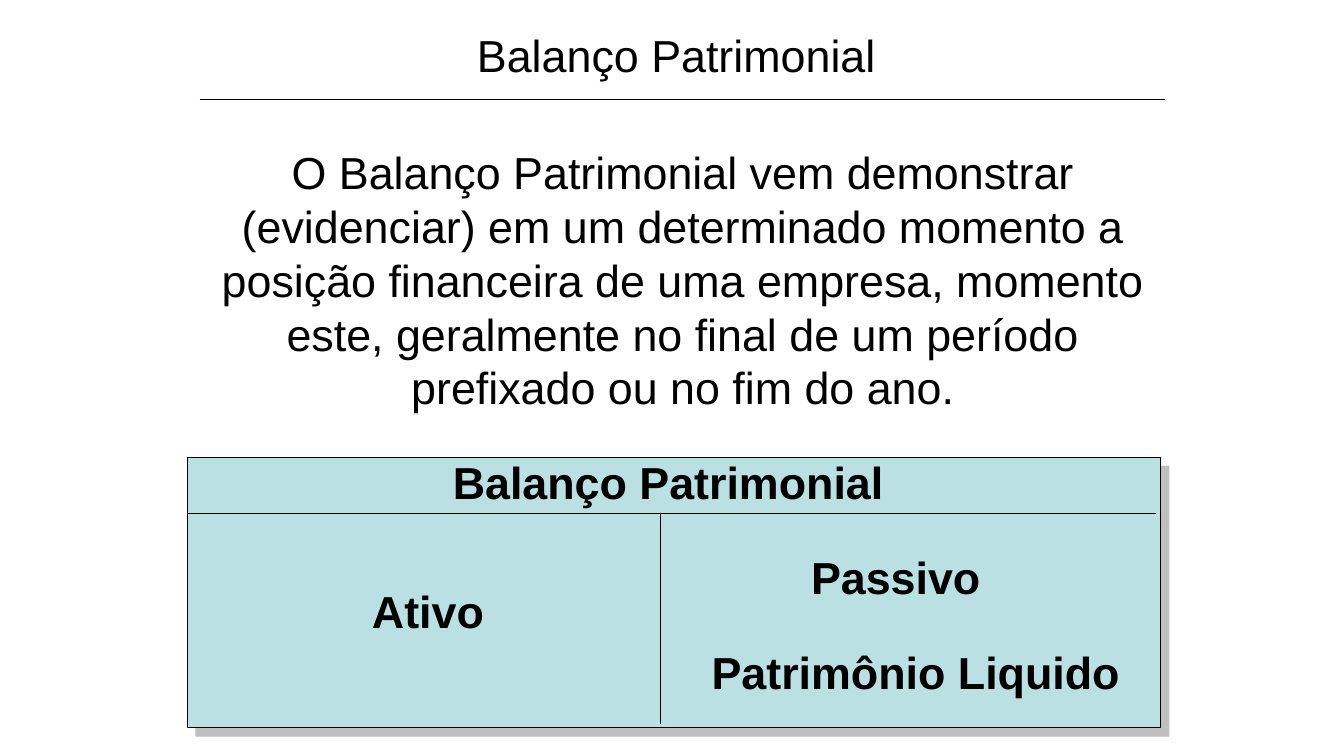
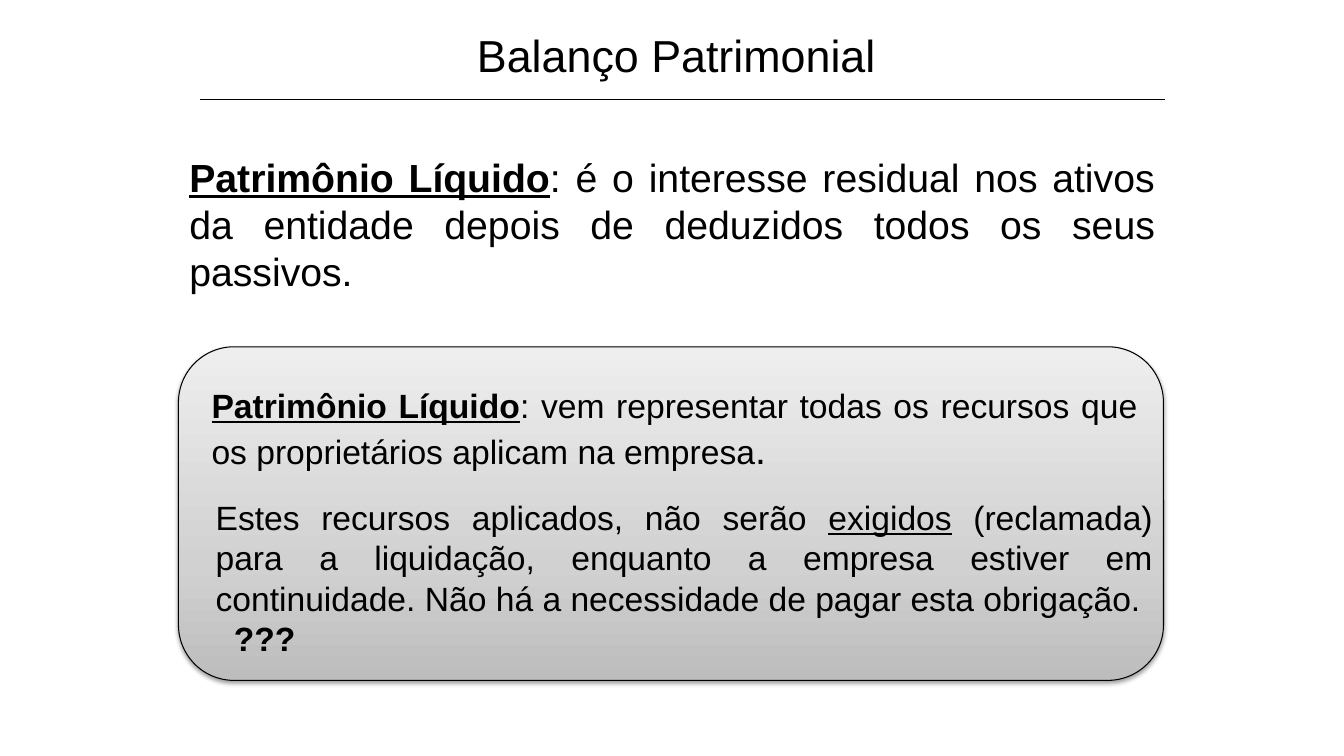
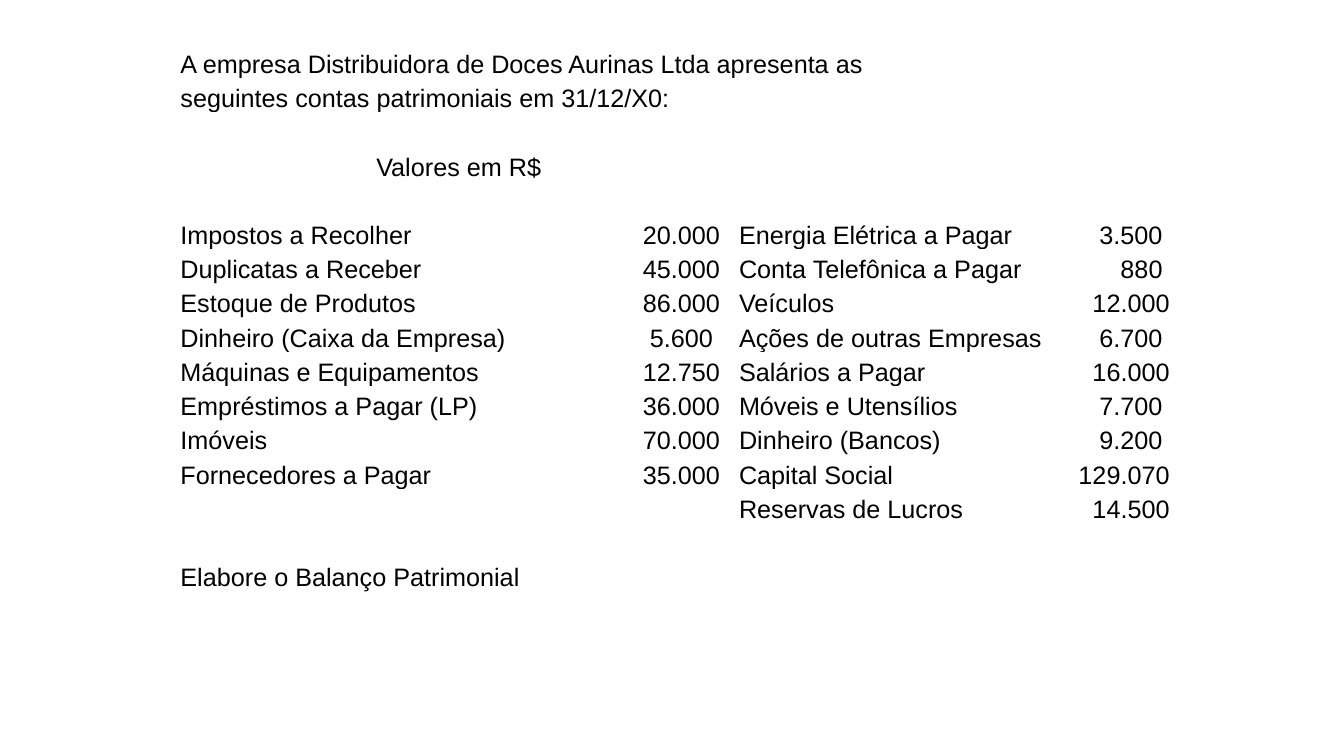
from lxml.etree import SubElement
from pptx import Presentation
from pptx.dml.color import RGBColor
from pptx.enum.shapes import MSO_CONNECTOR, MSO_SHAPE
from pptx.enum.text import MSO_ANCHOR, PP_ALIGN
from pptx.oxml.ns import qn
from pptx.util import Inches, Pt

FONT = "Arial"
BLACK = "000000"
PANEL_BLUE = "BBE0E3"
GRADIENT_STOPS = [(0, "BDBDBD"), (35, "D1D1D1"), (100, "EEEEEE")]

COLUMN_WIDTHS = [4.31, 1.23, 3.23, 1.23]
ROW_HEIGHT = 0.34
ROW_COUNT = 16
FIRST_ACCOUNT_ROW = 5
HEADINGS = [
    (0, 2, "A empresa Distribuidora de Doces Aurinas Ltda apresenta as", PP_ALIGN.LEFT),
    (1, 1, "seguintes contas patrimoniais em 31/12/X0:", PP_ALIGN.LEFT),
    (3, 1, "Valores em R$", PP_ALIGN.CENTER),
    (15, 1, "Elabore o Balanço Patrimonial", PP_ALIGN.LEFT),
]
LEFT_ACCOUNTS = [
    ("Impostos a Recolher", "20.000"),
    ("Duplicatas a Receber", "45.000"),
    ("Estoque de Produtos", "86.000"),
    ("Dinheiro (Caixa da Empresa)", "5.600"),
    ("Máquinas e Equipamentos", "12.750"),
    ("Empréstimos a Pagar (LP)", "36.000"),
    ("Imóveis", "70.000"),
    ("Fornecedores a Pagar", "35.000"),
]
RIGHT_ACCOUNTS = [
    ("Energia Elétrica a Pagar", "3.500"),
    ("Conta Telefônica a Pagar", "880"),
    ("Veículos", "12.000"),
    ("Ações de outras Empresas", "6.700"),
    ("Salários a Pagar", "16.000"),
    ("Móveis e Utensílios", "7.700"),
    ("Dinheiro (Bancos)", "9.200"),
    ("Capital Social", "129.070"),
    ("Reservas de Lucros", "14.500"),
]


def color(value):
    """Return the colour for a hex string."""
    return RGBColor.from_string(value)


def add_run(paragraph, text, size, bold=False, underline=False):
    """Add one run in the shared font."""
    run = paragraph.add_run()
    run.text = text
    run.font.name = FONT
    run.font.size = Pt(size)
    run.font.bold = bold
    run.font.underline = underline
    run.font.color.rgb = color(BLACK)


def add_text(shapes, box, runs, alignment=PP_ALIGN.CENTER):
    """Add a wrapped text box with one paragraph and return its frame."""
    frame = shapes.add_textbox(*map(Inches, box)).text_frame
    frame.word_wrap = True
    paragraph = frame.paragraphs[0]
    paragraph.alignment = alignment
    spacing = SubElement(paragraph._p.get_or_add_pPr(), qn("a:spcBef"))
    SubElement(spacing, qn("a:spcPct"), val="20000")
    for run in runs:
        add_run(paragraph, *run)
    return frame


def add_line(shapes, *ends):
    """Add a thin black line without shadow."""
    line = shapes.add_connector(MSO_CONNECTOR.STRAIGHT, *map(Inches, ends))
    line.line.color.rgb = color(BLACK)
    line.line.width = Pt(0.75)
    SubElement(line._element.spPr, qn("a:effectLst"))


def add_panel(shapes, kind, box, shadow):
    """Add an outlined panel with an outer shadow."""
    panel = shapes.add_shape(kind, *map(Inches, box))
    panel.line.color.rgb = color(BLACK)
    panel.line.width = Pt(0.75)
    panel.shadow.inherit = False
    shade, opacity, blur, distance, angle = shadow
    outer = SubElement(
        panel._element.spPr.find(qn("a:effectLst")), qn("a:outerShdw"),
        blurRad=str(Pt(blur)), dist=str(Pt(distance)),
        dir=str(angle * 60000), algn="ctr", rotWithShape="0")
    shadow_color = SubElement(outer, qn("a:srgbClr"), val=shade)
    SubElement(shadow_color, qn("a:alpha"), val=str(opacity * 1000))
    return panel


def fill_gradient(panel):
    """Fill a panel with the grey gradient, darkest at the bottom."""
    panel.fill.gradient()
    gradient = panel._element.spPr.find(qn("a:gradFill"))
    stops = gradient.find(qn("a:gsLst"))
    for stop in list(stops):
        stops.remove(stop)
    for position, shade in GRADIENT_STOPS:
        stop = SubElement(stops, qn("a:gs"), pos=str(position * 1000))
        SubElement(stop, qn("a:srgbClr"), val=shade)
    gradient.find(qn("a:lin")).set("ang", str(270 * 60000))


def add_slide(presentation):
    """Add a blank slide."""
    return presentation.slides.add_slide(presentation.slide_layouts[6])


def add_title(slide):
    """Add the shared title with its rule."""
    add_text(slide.shapes, (3.21, 0.23, 7, 0.84), [("Balanço Patrimonial", 32)])
    add_line(slide.shapes, 1.98, 0.99, 11.55, 0.99)


def add_balance_sheet(slide, left, top, width, height):
    """Draw the T-shaped balance sheet in the given box."""
    shapes = slide.shapes.add_group_shape().shapes
    panel = add_panel(shapes, MSO_SHAPE.RECTANGLE, (left, top, width, height),
                      ("808080", 50, 0, 8.5, 45))
    panel.fill.solid()
    panel.fill.fore_color.rgb = color(PANEL_BLUE)
    header_bottom = top + 0.55
    middle = left + 4.69
    add_line(shapes, left, header_bottom, left + width - 0.04, header_bottom)
    add_line(shapes, middle, header_bottom, middle, top + height - 0.04)
    labels = [
        ("Balanço Patrimonial", 1.27, -0.08, 7),
        ("Ativo", 0.71, 1.2, 3.35),
        ("Passivo", 5.49, 0.86, 3.07),
        ("Patrimônio Liquido", 5, 1.81, 4.45),
    ]
    for text, across, down, label_width in labels:
        add_text(shapes, (left + across, top + down, label_width, 0.84),
                 [(text, 32, True)])


def add_equity_panel(slide, left, top, width, height):
    """Draw the rounded panel that explains equity in the given box."""
    shapes = slide.shapes.add_group_shape().shapes
    panel = add_panel(shapes, MSO_SHAPE.ROUNDED_RECTANGLE,
                      (left, top, width, height), (BLACK, 38, 3.1, 1.6, 90))
    fill_gradient(panel)
    add_text(shapes, (left + 0.23, top + 0.33, 9.38, 1.1), [
        ("Patrimônio Líquido", 24, True, True),
        (": vem representar todas os recursos que os proprietários aplicam na empresa", 24),
        (".", 28),
    ], PP_ALIGN.JUSTIFY)
    frame = add_text(shapes, (left + 0.27, top + 1.44, 9.49, 1.72), [
        ("Estes recursos aplicados, não serão ", 24),
        ("exigidos", 24, False, True),
        (" (reclamada) para a liquidação, enquanto a empresa estiver em continuidade. "
         "Não há a necessidade de pagar esta obrigação.", 24),
    ], PP_ALIGN.JUSTIFY)
    question = frame.add_paragraph()
    question._p.get_or_add_pPr().set("marL", str(Inches(0.18)))
    add_run(question, "???", 24, True)


def write_cell(cell, text, alignment=PP_ALIGN.LEFT):
    """Write one table cell."""
    paragraph = cell.text_frame.paragraphs[0]
    paragraph.alignment = alignment
    add_run(paragraph, text, 18)


def add_accounts_table(slide, left, top):
    """Build the table of accounts from its top left corner."""
    table = slide.shapes.add_table(
        ROW_COUNT, len(COLUMN_WIDTHS), Inches(left), Inches(top),
        Inches(sum(COLUMN_WIDTHS)), Inches(ROW_HEIGHT * ROW_COUNT)).table
    table.first_row = False
    table.horz_banding = False
    for column, width in zip(table.columns, COLUMN_WIDTHS):
        column.width = Inches(width)
    for row in table.rows:
        row.height = Inches(ROW_HEIGHT)
    for cell in table.iter_cells():
        cell.fill.background()
        cell.vertical_anchor = MSO_ANCHOR.BOTTOM
        cell.margin_left = cell.margin_right = cell.margin_top = Inches(0.01)
        cell.margin_bottom = 0
    for row, last_column, text, alignment in HEADINGS:
        table.cell(row, 0).merge(table.cell(row, last_column))
        write_cell(table.cell(row, 0), text, alignment)
    for column, accounts in ((0, LEFT_ACCOUNTS), (2, RIGHT_ACCOUNTS)):
        for row, (name, amount) in enumerate(accounts, FIRST_ACCOUNT_ROW):
            write_cell(table.cell(row, column), name)
            amount_cell = table.cell(row, column + 1)
            amount_cell.margin_right = Inches(0.18 if len(amount) > 5 else 0.25)
            write_cell(amount_cell, amount, PP_ALIGN.RIGHT)


def build_definition_slide(presentation):
    """Build the slide that defines the balance sheet."""
    slide = add_slide(presentation)
    add_title(slide)
    add_text(slide.shapes, (1.89, 1.39, 9.77, 2.68), [
        ("O Balanço Patrimonial vem demonstrar (evidenciar) em um determinado momento a "
         "posição financeira de uma empresa, momento este, geralmente no final de um "
         "período prefixado ou no fim do ano.", 32)])
    add_balance_sheet(slide, 1.86, 4.54, 9.65, 2.68)


def build_equity_slide(presentation):
    """Build the slide about equity."""
    slide = add_slide(presentation)
    add_title(slide)
    add_text(slide.shapes, (1.78, 1.47, 9.77, 1.1), [
        ("Patrimônio Líquido", 28, True, True),
        (": é o interesse residual nos ativos da entidade depois de deduzidos todos os "
         "seus passivos.", 28),
    ], PP_ALIGN.JUSTIFY)
    add_equity_panel(slide, 1.77, 3.44, 9.77, 3.31)


def build_exercise_slide(presentation):
    """Build the exercise slide."""
    add_accounts_table(add_slide(presentation), 1.78, 0.44)


def main():
    """Build and save the presentation."""
    presentation = Presentation()
    presentation.slide_width = Inches(13.33)
    presentation.slide_height = Inches(7.5)
    build_definition_slide(presentation)
    build_equity_slide(presentation)
    build_exercise_slide(presentation)
    presentation.save("out.pptx")


if __name__ == "__main__":
    main()
